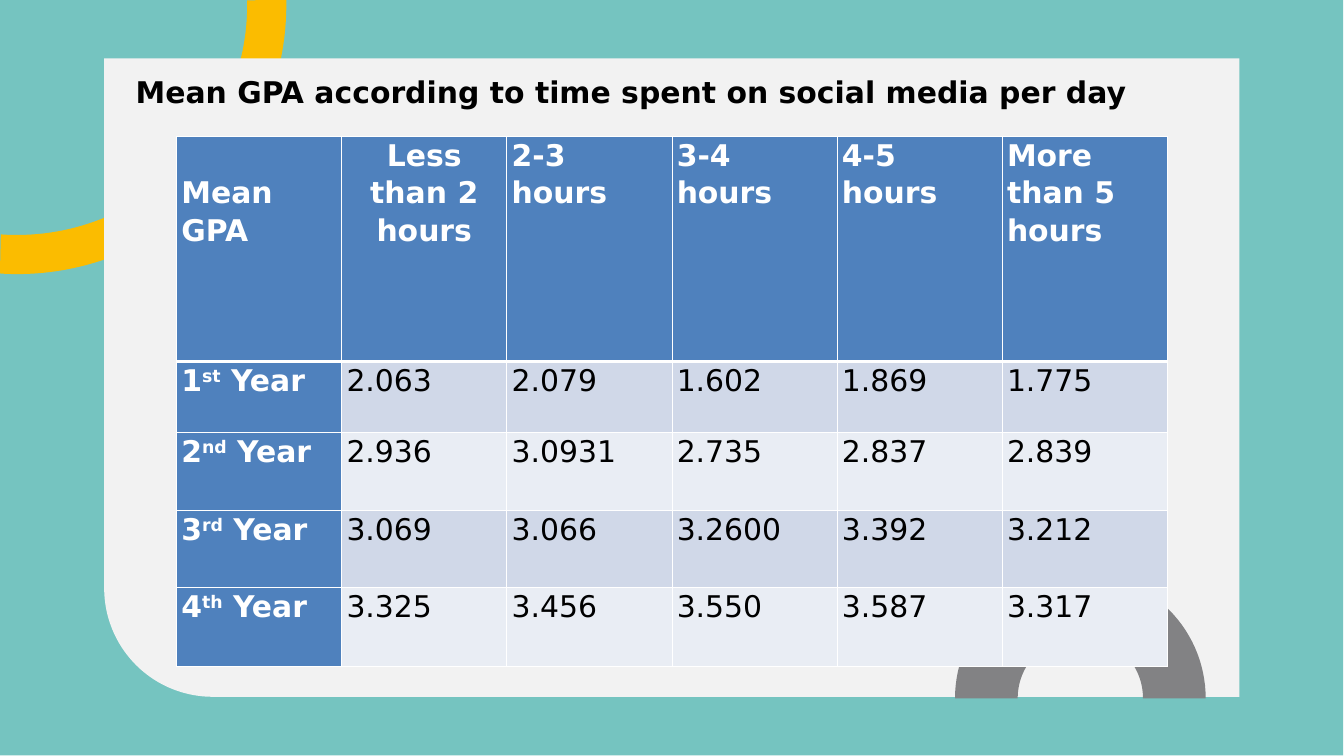
import math
from dataclasses import dataclass

import lxml.etree
import pptx
import pptx.dml.color
import pptx.enum.shapes
import pptx.enum.text
import pptx.oxml.ns
import pptx.util

Cm = pptx.util.Cm
FONT_NAME = "DejaVu Sans"
COLORS = {
    "teal": "75C4C0", "yellow": "FBBC00", "card": "F2F2F2", "gray": "828284",
    "blue": "4F81BD", "band_dark": "D0D8E8", "band_light": "E9EDF4",
    "white": "FFFFFF", "black": "000000",
}


@dataclass
class Ring:
    """Part of a ring; lengths in cm, angles in degrees clockwise from the right."""
    center_x: float
    center_y: float
    outer: float
    inner: float
    start: float
    end: float
    color: str


@dataclass
class YearRow:
    number: str
    suffix: str
    values: list[str]
    height: float


RINGS = {
    "corner": Ring(0.64, 0.18, 10.19, 8.71, -1.1, 94, "yellow"),
    "bottom": Ring(40.86, 26.42, 4.74, 2.37, 180, 360, "gray"),
}
HEADINGS = ["Mean GPA", "Less than 2 hours", "2-3 hours", "3-4 hours", "4-5 hours",
            "More than 5 hours"]
HEADING_HEIGHT = 8.51
YEARS = [
    YearRow("1", "st", ["2.063", "2.079", "1.602", "1.869", "1.775"], 2.67),
    YearRow("2", "nd", ["2.936", "3.0931", "2.735", "2.837", "2.839"], 2.97),
    YearRow("3", "rd", ["3.069", "3.066", "3.2600", "3.392", "3.212"], 2.92),
    YearRow("4", "th", ["3.325", "3.456", "3.550", "3.587", "3.317"], 2.97),
]


def rgb(name: str) -> pptx.dml.color.RGBColor:
    return pptx.dml.color.RGBColor.from_string(COLORS[name])


def paint(shape, color: str) -> None:
    shape.shadow.inherit = False
    shape.fill.solid()
    shape.fill.fore_color.rgb = rgb(color)
    shape.line.fill.background()


def add_block(slide, kind, left: float, top: float, width: float, height: float, color: str):
    shape = slide.shapes.add_shape(kind, Cm(left), Cm(top), Cm(width), Cm(height))
    paint(shape, color)
    return shape


def add_ring(slide, ring: Ring) -> None:
    steps = 60
    angles = [math.radians(ring.start + (ring.end - ring.start) * step / steps)
              for step in range(steps + 1)]
    edges = [(ring.outer, angle) for angle in angles]
    edges += [(ring.inner, angle) for angle in reversed(angles)]
    # The corner ring stops at the slide edges
    points = [(Cm(max(0, ring.center_x + radius * math.cos(angle))),
               Cm(max(0, ring.center_y + radius * math.sin(angle))))
              for radius, angle in edges]
    builder = slide.shapes.build_freeform(*points[0], scale=1.0)
    builder.add_line_segments(points[1:], close=True)
    paint(builder.convert_to_shape(), ring.color)


def style_paragraph(paragraph, color: str, bold: bool) -> None:
    paragraph.font.name = FONT_NAME
    paragraph.font.size = pptx.util.Pt(32)
    paragraph.font.bold = bold
    paragraph.font.color.rgb = rgb(color)


def add_borders(cell, row: int) -> None:
    properties = cell._tc.get_or_add_tcPr()
    qn = pptx.oxml.ns.qn
    for side in ("L", "R", "T", "B"):
        thick = (row, side) in ((0, "B"), (1, "T"))
        line = lxml.etree.SubElement(properties, qn(f"a:ln{side}"),
                                     w=str(pptx.util.Pt(3 if thick else 1)))
        fill = lxml.etree.SubElement(line, qn("a:solidFill"))
        lxml.etree.SubElement(fill, qn("a:srgbClr"), val=COLORS["white"])


def fill_cell(cell, row: int, parts: list[str], fill: str, color: str, bold: bool) -> None:
    """Write the parts as runs, the second one raised."""
    add_borders(cell, row)
    cell.fill.solid()
    cell.fill.fore_color.rgb = rgb(fill)
    cell.margin_left = cell.margin_right = Cm(0.18)
    cell.margin_top = cell.margin_bottom = 0
    paragraph = cell.text_frame.paragraphs[0]
    paragraph.line_spacing = 1.07
    style_paragraph(paragraph, color, bold)
    for index, part in enumerate(parts):
        run = paragraph.add_run()
        run.text = part
        if index == 1:
            run._r.get_or_add_rPr().set("baseline", "30000")


def add_gpa_table(slide) -> None:
    heights = [HEADING_HEIGHT] + [year.height for year in YEARS]
    frame = slide.shapes.add_table(len(heights), len(HEADINGS), Cm(6.68), Cm(5.16),
                                   Cm(37.47), Cm(sum(heights)))
    table = frame.table
    for row, height in zip(table.rows, heights):
        row.height = Cm(height)
    # Heading row
    for column, heading in enumerate(HEADINGS):
        fill_cell(table.cell(0, column), 0, [heading], "blue", "white", True)
    table.cell(0, 0).margin_top = Cm(1.41)
    table.cell(0, 1).text_frame.paragraphs[0].alignment = pptx.enum.text.PP_ALIGN.CENTER
    # Year rows
    for row, year in enumerate(YEARS, start=1):
        band = "band_dark" if row % 2 else "band_light"
        fill_cell(table.cell(row, 0), row, [year.number, year.suffix, " Year"],
                  "blue", "white", True)
        for column, value in enumerate(year.values, start=1):
            fill_cell(table.cell(row, column), row, [value], band, "black", False)


def main() -> None:
    presentation = pptx.Presentation()
    presentation.slide_width, presentation.slide_height = Cm(50.83), Cm(28.6)
    slide = presentation.slides.add_slide(presentation.slide_layouts[6])
    kinds = pptx.enum.shapes.MSO_SHAPE

    # Backdrop and card, turned so that its round corner is at the bottom left
    add_block(slide, kinds.RECTANGLE, 0, 0, 50.8, 28.58, "teal")
    add_ring(slide, RINGS["corner"])
    card = add_block(slide, kinds.ROUND_1_RECTANGLE, 3.94, 2.21, 42.93, 24.15, "card")
    card.adjustments[0] = 0.17
    card.rotation = 180
    add_ring(slide, RINGS["bottom"])

    # Title
    title = slide.shapes.add_textbox(Cm(4.88), Cm(2.67), Cm(39.17), Cm(2.39))
    title.text_frame.word_wrap = True
    paragraph = title.text_frame.paragraphs[0]
    paragraph.text = "Mean GPA according to time spent on social media per day"
    style_paragraph(paragraph, "black", True)

    add_gpa_table(slide)
    presentation.save("out.pptx")


if __name__ == "__main__":
    main()
